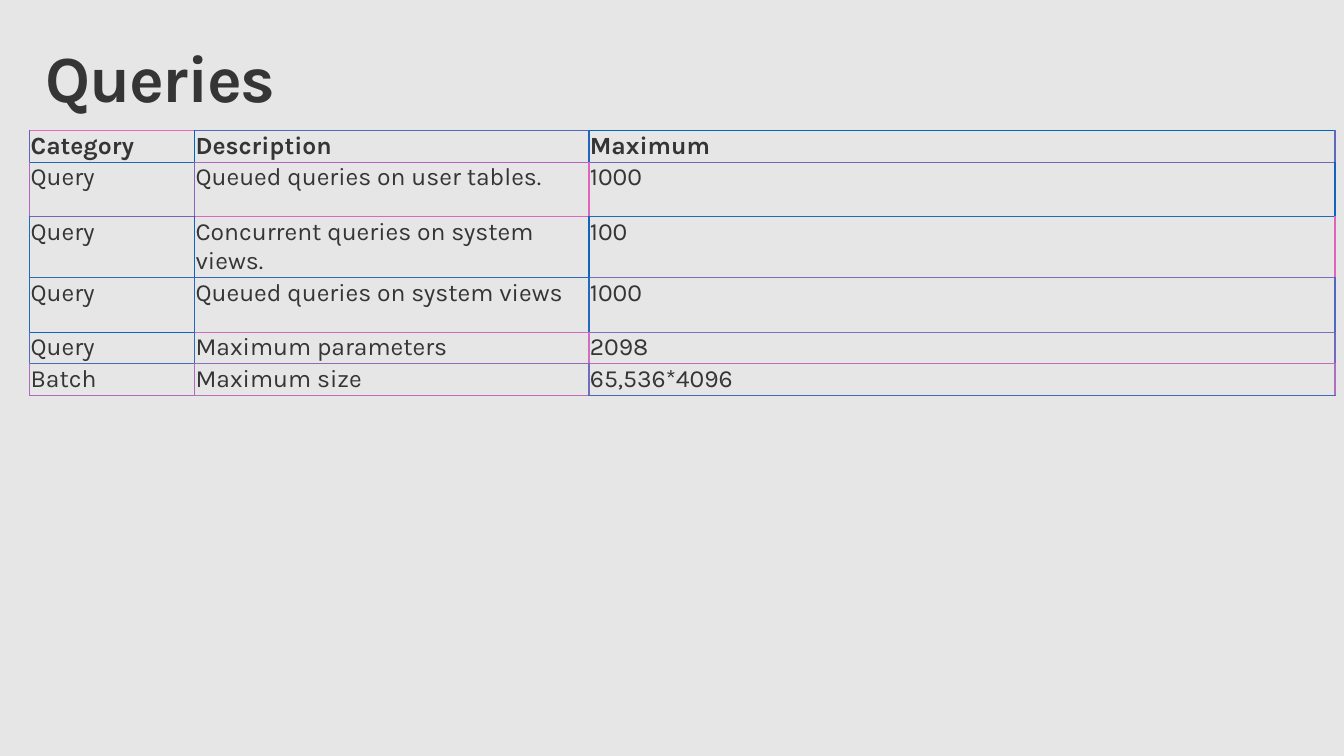
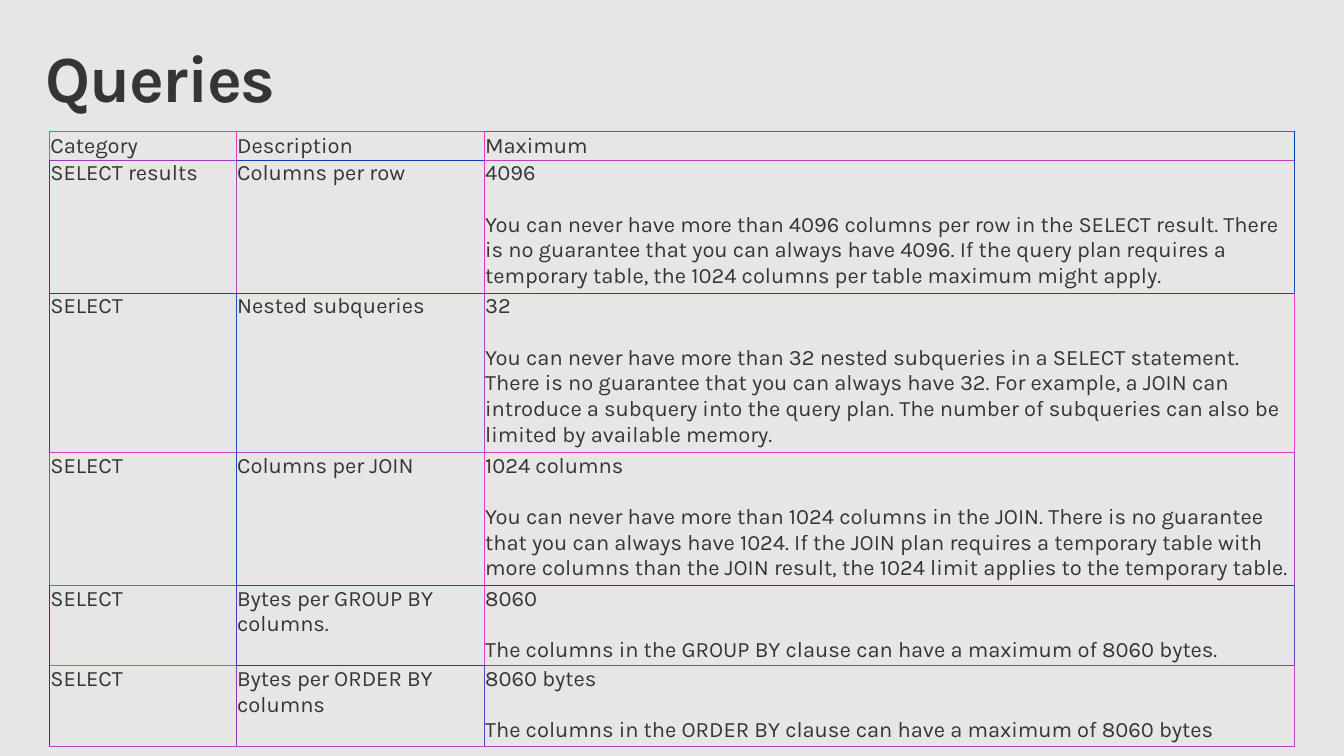
import pptx
import pptx.dml.color
import pptx.enum.text
import pptx.oxml.ns
import pptx.util
from lxml import etree

Pt = pptx.util.Pt
ANCHOR = pptx.enum.text.MSO_ANCHOR

COLORS = {
    "background": "E6E6E6",
    "text": "353535",
    "limits_across": """
        F065BC 5069BC 0068BC
        2066BC B066BC 7067BC
        7067BC E066BC 2069BC
        3068BC 3068BC 8069BC
        1064BC D06ABC 806FBC
        406DBC 906BBC C06BBC
        B06CBC C06EBC 406ABC""",
    "limits_down": """
        6065BC 0068BC 2066BC 6068BC
        B066BC 8069BC E066BC 1064BC
        2069BC 1064BC 1064BC E066BC
        2069BC 2069BC 2069BC 5069BC
        5069BC 306EBC D06DBC 706ABC
        B06CBC B06CBC 706DBC B06FBC""",
    "select_across": """
        E03CBC E03CBC 903BBC
        A03ABC 103ABC C03EBC
        0044BC 2042BC 2042BC
        D043BC C044BC D043BC
        C041BC 2045BC 1040BC
        E045BC 1043BC 8042BC
        C044BC C044BC C041BC""",
    "select_down": """
        E03FBC E03FBC E03CBC 003EBC
        203FBC B045BC D040BC 2045BC
        2042BC 3044BC C041BC F041BC
        A043BC 2045BC E045BC A043BC
        1040BC 4040BC E045BC 6041BC
        0044BC 8042BC 6041BC C041BC""",
}

HEADER = ("Category", "Description", "Maximum")

LIMITS = [
    HEADER,
    ("Query", "Queued queries on user tables.", "1000"),
    ("Query", "Concurrent queries on system views.", "100"),
    ("Query", "Queued queries on system views", "1000"),
    ("Query", "Maximum parameters", "2098"),
    ("Batch", "Maximum size", "65,536*4096"),
]

SELECT_LIMITS = [
    HEADER,
    ("SELECT results", "Columns per row",
     "4096\nYou can never have more than 4096 columns per row in the SELECT result. "
     "There is no guarantee that you can always have 4096. If the query plan requires "
     "a temporary table, the 1024 columns per table maximum might apply."),
    ("SELECT", "Nested subqueries",
     "32\nYou can never have more than 32 nested subqueries in a SELECT statement. "
     "There is no guarantee that you can always have 32. For example, a JOIN can "
     "introduce a subquery into the query plan. The number of subqueries can also be "
     "limited by available memory."),
    ("SELECT", "Columns per JOIN",
     "1024 columns\nYou can never have more than 1024 columns in the JOIN. There is no "
     "guarantee that you can always have 1024. If the JOIN plan requires a temporary "
     "table with more columns than the JOIN result, the 1024 limit applies to the "
     "temporary table."),
    ("SELECT", "Bytes per GROUP BY columns.",
     "8060\nThe columns in the GROUP BY clause can have a maximum of 8060 bytes."),
    ("SELECT", "Bytes per ORDER BY columns",
     "8060 bytes\nThe columns in the ORDER BY clause can have a maximum of 8060 bytes"),
]


class Deck:
    font = "Karla"
    margin = Pt(0.72)
    thick, thin = 1, 0.38

    def __init__(self):
        self.prs = pptx.Presentation()
        self.prs.slide_width = Pt(979.2)
        self.prs.slide_height = Pt(550.8)
        fill = self.prs.slide_master.background.fill
        fill.solid()
        fill.fore_color.rgb = self.rgb("background")

    def rgb(self, name):
        return pptx.dml.color.RGBColor.from_string(COLORS[name])

    def slide(self, title):
        self.s = self.prs.slides.add_slide(self.prs.slide_layouts[6])
        self.title(title)

    def run(self, p, text, size, bold):
        r = p.add_run()
        r.text = text
        r.font.name = self.font
        r.font.size = Pt(size)
        r.font.bold = bold
        r.font.color.rgb = self.rgb("text")
        return r

    def title(self, text):
        sp = self.s.shapes.add_textbox(Pt(21.6), Pt(23), Pt(936), Pt(72))
        tf = sp.text_frame
        tf.word_wrap = True
        tf.vertical_anchor = ANCHOR.MIDDLE
        tf.margin_left = tf.margin_right = Pt(11.5)
        tf.margin_top = tf.margin_bottom = Pt(7.2)
        p = tf.paragraphs[0]
        p.line_spacing = 0.9
        r = self.run(p, text, 48, True)
        r.font._element.set("spc", "-100")

    def border(self, cell, side, color, width):
        qn = pptx.oxml.ns.qn
        ln = etree.SubElement(cell._tc.get_or_add_tcPr(), qn("a:ln" + side), w=str(Pt(width)))
        fill = etree.SubElement(ln, qn("a:solidFill"))
        etree.SubElement(fill, qn("a:srgbClr"), val=color)

    def cell(self, cell, text, size, header, bold):
        cell.margin_left = cell.margin_right = self.margin
        cell.margin_top = cell.margin_bottom = self.margin
        cell.vertical_anchor = ANCHOR.BOTTOM if header else ANCHOR.TOP
        tf = cell.text_frame
        for i, line in enumerate(text.split("\n")):
            p = tf.add_paragraph() if i else tf.paragraphs[0]
            if i:
                p.space_before = Pt(round(size * 1.17, 1))
            self.run(p, line, size, bold)

    def table(self, left, top, widths, heights, rows, size, borders, bold_header=False):
        frame = self.s.shapes.add_table(len(rows), len(widths), Pt(left), Pt(top),
                                        Pt(sum(widths)), Pt(sum(heights)))
        table = frame.table
        table.first_row = table.horz_banding = False
        for column, width in zip(table.columns, widths):
            column.width = Pt(width)
        for row, height in zip(table.rows, heights):
            row.height = Pt(height)
        across = COLORS[borders + "_across"].split()
        down = COLORS[borders + "_down"].split()
        n = len(widths)
        for i, row in enumerate(rows):
            for j, text in enumerate(row):
                cell = table.cell(i, j)
                self.cell(cell, text, size, i == 0, bold_header and i == 0)
                h, v = i * n + j, i * (n + 1) + j
                self.border(cell, "L", down[v], self.thick)
                self.border(cell, "R", down[v + 1], self.thick)
                self.border(cell, "T", across[h], self.thin if i else self.thick)
                self.border(cell, "B", across[h + n], self.thin)
                cell.fill.background()


def main():
    deck = Deck()
    deck.slide("Queries")
    deck.table(21.6, 95, (120.2, 287.3, 543.6), (20.2, 39.6, 39.6, 39.6, 20.2, 20.2),
               LIMITS, 18, "limits", bold_header=True)
    deck.slide("Queries")
    deck.table(36, 95.8, (136.1, 180.7, 590.4), (18.7, 69.8, 77, 69.8, 52.6, 52.6),
               SELECT_LIMITS, 16, "select")
    deck.prs.save("out.pptx")


if __name__ == "__main__":
    main()
